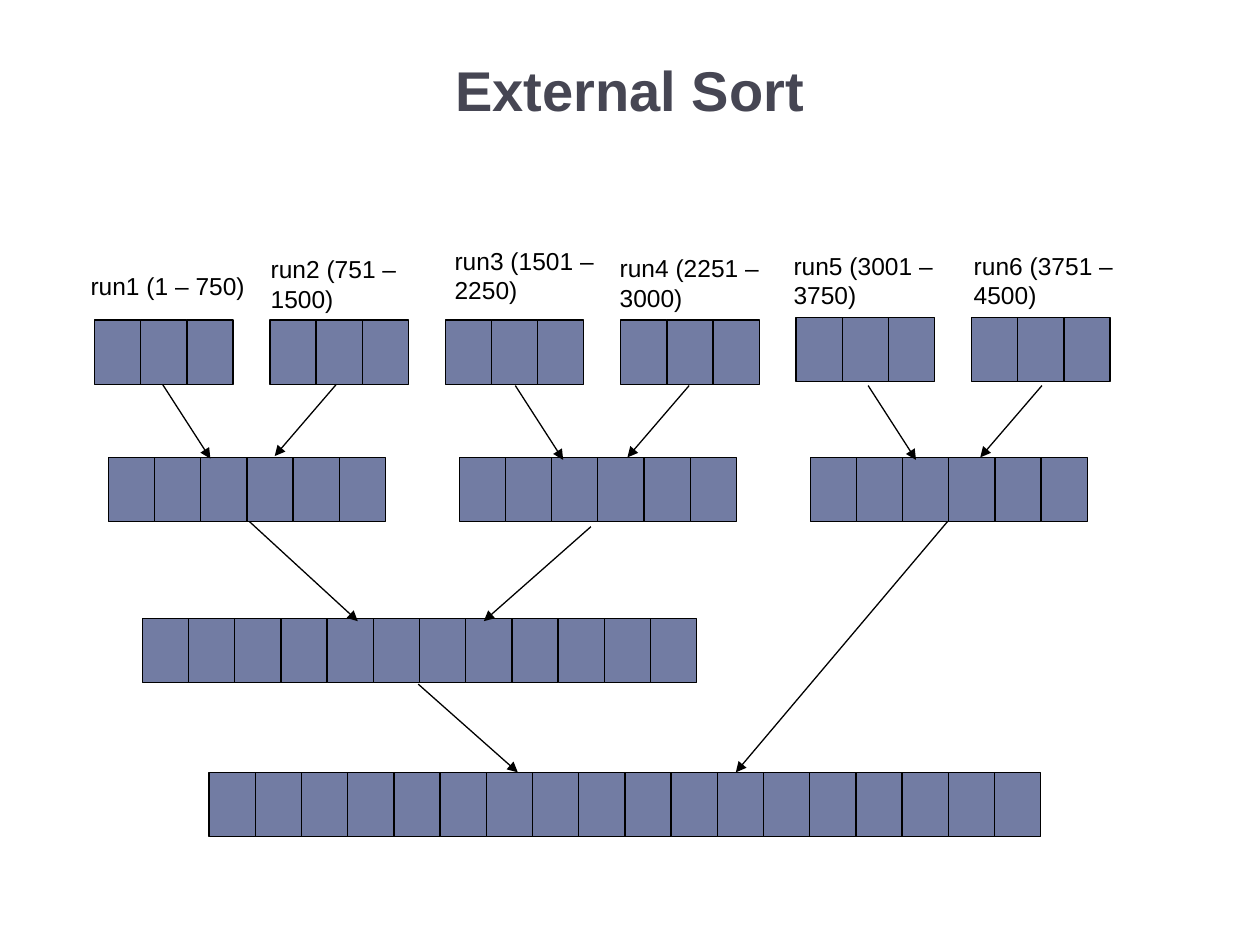
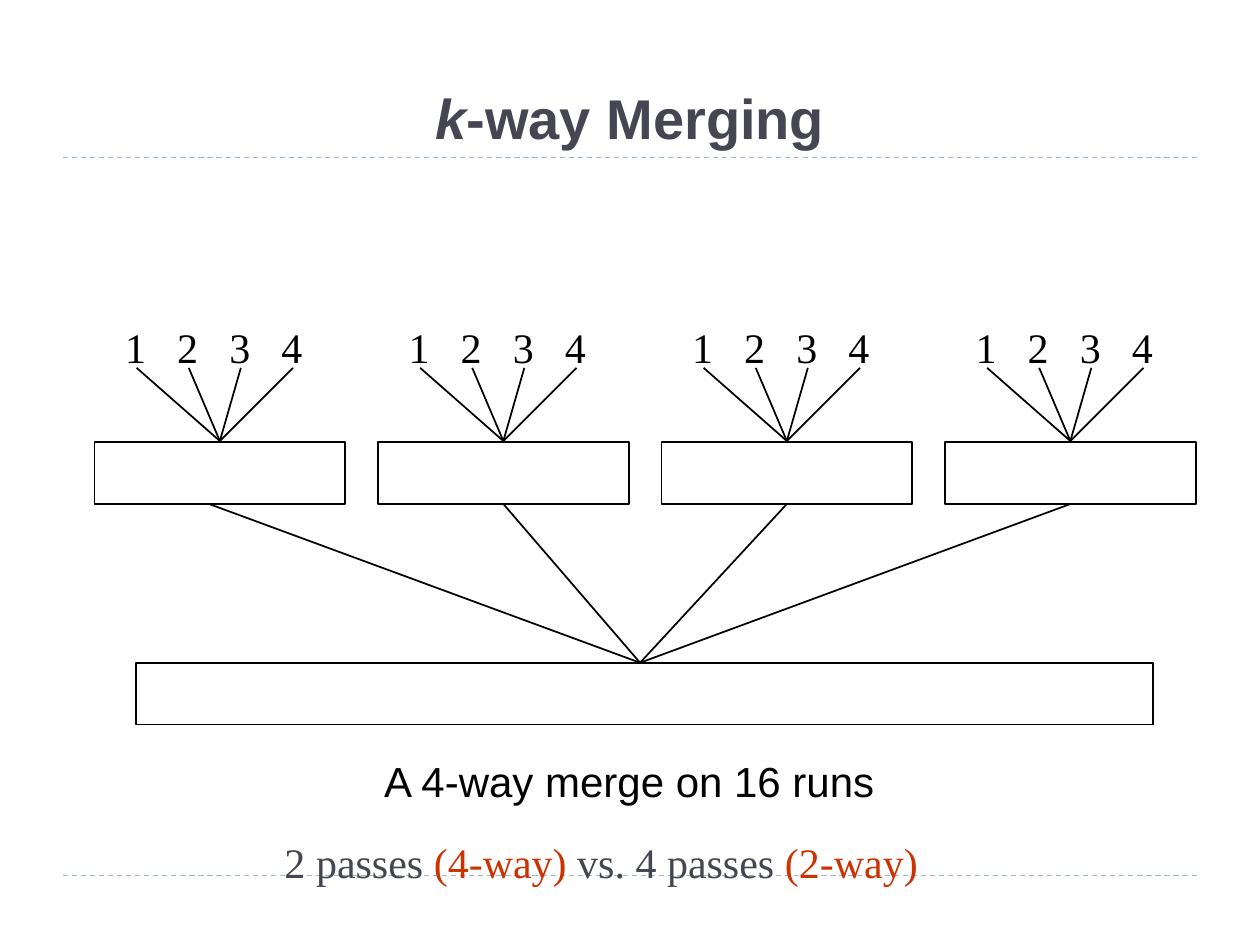
from lxml.etree import SubElement
from pptx import Presentation
from pptx.dml.color import RGBColor
from pptx.enum.dml import MSO_LINE
from pptx.enum.shapes import MSO_CONNECTOR, MSO_SHAPE
from pptx.enum.text import MSO_ANCHOR, PP_ALIGN
from pptx.oxml.ns import qn
from pptx.util import Inches, Pt

SLIDE_W, SLIDE_H = 10, 7.5
MARGIN = SLIDE_W / 20
TITLE_TOP, TITLE_BOTTOM, FOOTER_TOP = 0.17, 1.25, 6.95
INK, SLATE, CELL_FILL, RULE, ACCENT = "000000", "464653", "727CA3", "9FB8CD", "CC3300"
SANS, SERIF = "Arial", "Times New Roman"

CELL_W, CELL_H = 1.1 / 3, 0.51
RUN_LEFT, RUN_STEP = 0.75, 6.96 / 5
PAIR_LEFT, PAIR_STEP = 0.86, 5.57 / 2
LEVEL_TOPS = (2.54, 3.63, 4.91, 6.13)
RUN_LABELS = [  # text, left, top, width
    ("run1 (1 – 750)", 0.62, 2.1, 1.52),
    ("run2 (751 – 1500)", 2.05, 1.97, 1.37),
    ("run3 (1501 – 2250)", 3.51, 1.9, 1.37),
    ("run4 (2251 – 3000)", 4.82, 1.96, 1.37),
    ("run5 (3001 – 3750)", 6.2, 1.94, 1.37),
    ("run6 (3751 – 4500)", 7.63, 1.94, 1.37),
]

WAYS = 4
MERGE_LEFT, MERGE_STEP, MERGE_W, MERGE_H = 0.75, 2.25, 1.99, 0.49
MERGE_TOP, FINAL_TOP = 3.51, 5.26
DIGIT_STEP = 1.24 / 3


def color(hex_text):
    return RGBColor.from_string(hex_text)


def add_spans(para, spans, size, font, bold=False):
    """Add (text, colour, italic) spans to a paragraph."""
    for text, ink, italic in spans:
        span = para.add_run()
        span.text = text
        span.font.name, span.font.size = font, Pt(size)
        span.font.bold, span.font.italic = bold, italic
        span.font.color.rgb = color(ink)


def add_page(deck, title_spans, anchor):
    page = deck.slides.add_slide(deck.slide_layouts[5])
    title = page.shapes.title
    title.left, title.top = Inches(MARGIN), Inches(TITLE_TOP)
    title.width = Inches(SLIDE_W - 2 * MARGIN)
    title.height = Inches(TITLE_BOTTOM - TITLE_TOP)
    title.text_frame.vertical_anchor = anchor
    para = title.text_frame.paragraphs[0]
    para.alignment = PP_ALIGN.CENTER
    add_spans(para, title_spans, 32, SANS, bold=True)
    return page


def add_text(page, spans, left, top, width, height, size, font):
    box = page.shapes.add_textbox(Inches(left), Inches(top), Inches(width), Inches(height))
    box.text_frame.word_wrap = True
    para = box.text_frame.paragraphs[0]
    add_spans(para, spans, size, font)
    return para


def add_box(shapes, left, top, width, height, weight, fill=None):
    box = shapes.add_shape(MSO_SHAPE.RECTANGLE, Inches(left), Inches(top),
                           Inches(width), Inches(height))
    box.shadow.inherit = False
    if fill:
        box.fill.solid()
        box.fill.fore_color.rgb = color(fill)
    else:
        box.fill.background()
    box.line.color.rgb = color(INK)
    box.line.width = Pt(weight)


def add_line(page, start, end, weight, ink=INK):
    line = page.shapes.add_connector(MSO_CONNECTOR.STRAIGHT,
                                     *(Inches(v) for v in (*start, *end)))
    line.line.color.rgb = color(ink)
    line.line.width = Pt(weight)
    SubElement(line._element.spPr, qn("a:effectLst"))
    return line


def add_arrow(page, start, end):
    arrow = add_line(page, start, end, 0.75)
    SubElement(arrow.line._get_or_add_ln(), qn("a:tailEnd"), type="triangle")


def add_rule(page, top):
    rule = add_line(page, (MARGIN, top), (SLIDE_W - MARGIN, top), 0.75, RULE)
    rule.line.dash_style = MSO_LINE.DASH


def add_run_cells(page, left, top, count):
    """Draw one sorted run as a group of touching cells."""
    cells = page.shapes.add_group_shape().shapes
    for i in range(count):
        add_box(cells, left + i * CELL_W, top, CELL_W, CELL_H, 0.75, CELL_FILL)


def add_digit_fan(page, center):
    """Number the inputs of one merge and join them to its box."""
    first = center - 0.66
    para = add_text(page, [("\t".join(str(n + 1) for n in range(WAYS)), INK, False)],
                    first - 0.19, 2.5, 1.62, 0.5, 24, SERIF)
    stops = SubElement(para._p.get_or_add_pPr(), qn("a:tabLst"))
    for i in range(1, WAYS):
        SubElement(stops, qn("a:tab"), pos=str(Inches(i * DIGIT_STEP)), algn="l")
    for i in range(WAYS):
        add_line(page, (first + i * DIGIT_STEP, 2.92), (center, 3.5), 1)


def build_external_sort(deck):
    page = add_page(deck, [("External Sort", SLATE, False)], MSO_ANCHOR.MIDDLE)
    run_top, pair_top, half_top, full_top = LEVEL_TOPS
    for i, (text, left, top, width) in enumerate(RUN_LABELS):
        lift = 0.02 if i >= 4 else 0
        add_run_cells(page, RUN_LEFT + i * RUN_STEP, run_top - lift, 3)
        height = 0.33 if i == 0 else 0.57
        add_text(page, [(text, INK, False)], left, top, width, height, 14, SANS)
    for i in range(3):
        add_run_cells(page, PAIR_LEFT + i * PAIR_STEP, pair_top, 6)
    add_run_cells(page, 1.13, half_top, 12)
    add_run_cells(page, 1.66, full_top, 18)

    for i in range(3):
        shift, drop = 2.8 * i, 0.01 if i else 0
        add_arrow(page, (1.29 + shift, 3.05 + drop), (1.67 + shift, 3.64 + drop))
        add_arrow(page, (2.67 + shift, 3.05 + drop), (2.18 + shift, 3.62 + drop))
    add_arrow(page, (1.98, 4.14), (2.84, 4.93))
    add_arrow(page, (4.69, 4.18), (3.84, 4.93))
    add_arrow(page, (3.32, 5.43), (4.11, full_top))
    add_arrow(page, (7.52, 4.14), (5.84, full_top))


def build_k_way_merging(deck):
    page = add_page(deck, [("k", SLATE, True), ("-way Merging", SLATE, False)],
                    MSO_ANCHOR.BOTTOM)
    add_rule(page, FOOTER_TOP)
    add_rule(page, TITLE_BOTTOM)
    for i in range(WAYS):
        left = MERGE_LEFT + i * MERGE_STEP
        center = left + MERGE_W / 2
        add_box(page.shapes, left, MERGE_TOP, MERGE_W, MERGE_H, 1)
        add_digit_fan(page, center)
        exit_x = 1.66 if i == 0 else center
        add_line(page, (exit_x, MERGE_TOP + MERGE_H), (5.08, FINAL_TOP), 1)
    add_box(page.shapes, 1.08, FINAL_TOP, 8.07, MERGE_H, 1)
    add_text(page, [("A 4-way merge on 16 runs", INK, False)],
             2.95, 5.95, 4.2, 0.5, 24, SANS)
    add_text(page, [("2 passes ", SLATE, False), ("(4-way)", ACCENT, False),
                    (" vs. 4 passes ", SLATE, False), ("(2-way)", ACCENT, False)],
             2.16, 6.59, 5.4, 0.5, 24, SERIF)


def main():
    deck = Presentation()
    deck.slide_width, deck.slide_height = Inches(SLIDE_W), Inches(SLIDE_H)
    build_external_sort(deck)
    build_k_way_merging(deck)
    deck.save("out.pptx")


if __name__ == "__main__":
    main()
